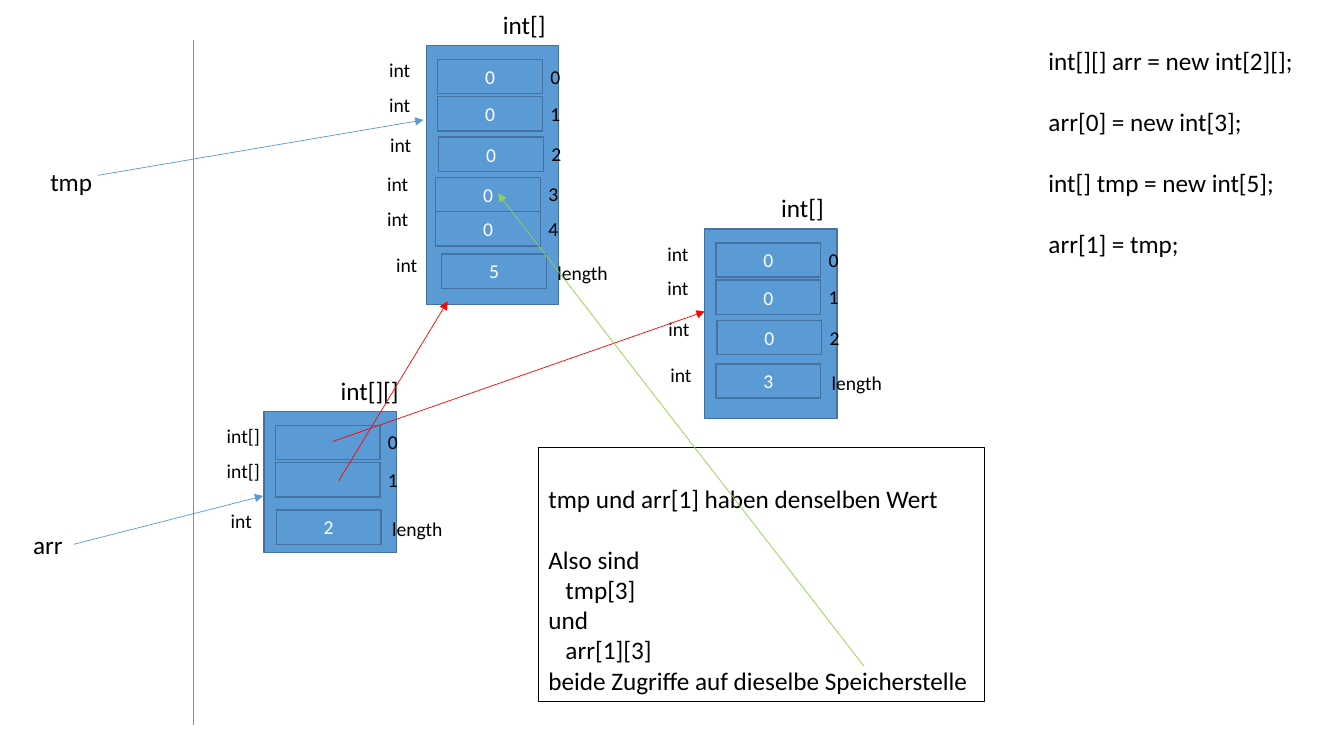
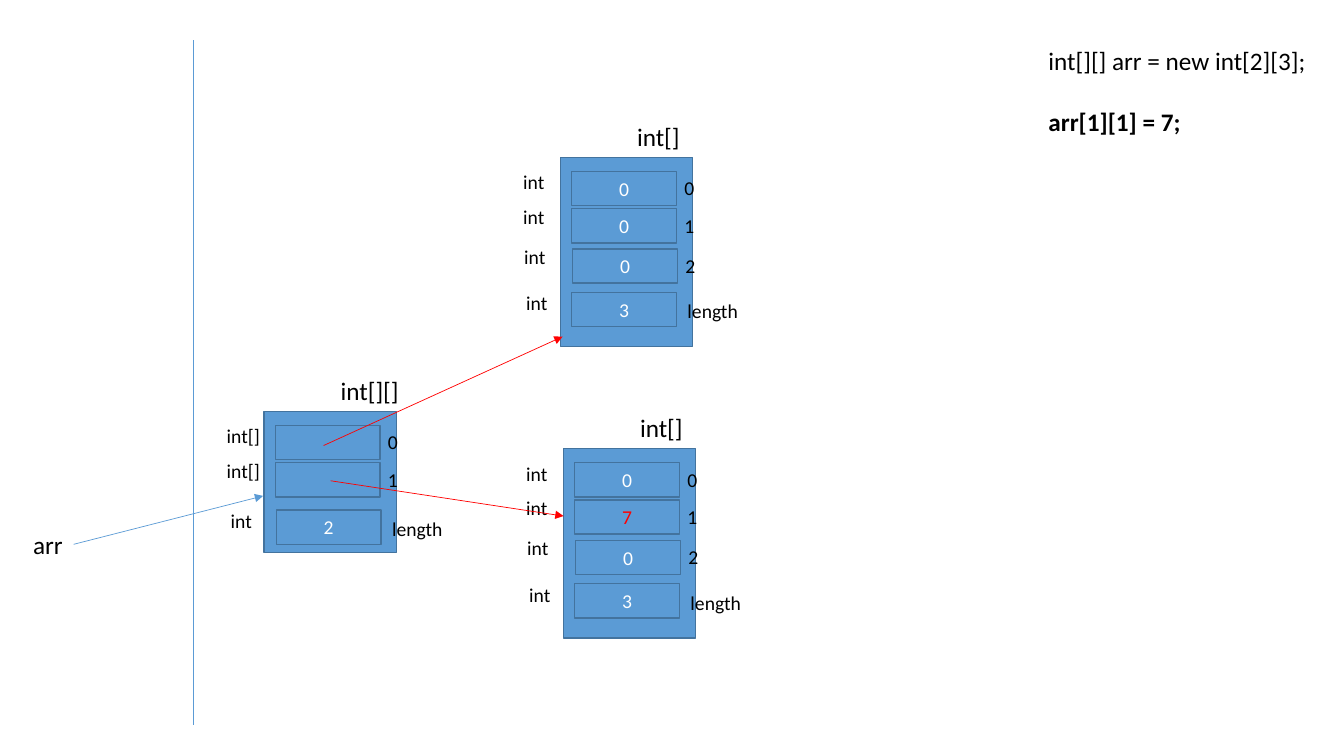
from pptx import Presentation
from pptx.dml.color import RGBColor as RGB
from pptx.enum.shapes import MSO_CONNECTOR as LINK, MSO_SHAPE as FORM
from pptx.enum.text import MSO_ANCHOR as ANCHOR, MSO_AUTO_SIZE as AUTO, PP_ALIGN as ALIGN
from pptx.oxml.ns import qn
from pptx.util import Inches, Pt
from lxml.etree import SubElement as sub

BLUE = RGB(0x5B, 0x9B, 0xD5)
EDGE = RGB(0x43, 0x73, 0x9E)
RED = RGB(0xFF, 0x00, 0x00)
GREEN = RGB(0x92, 0xD0, 0x50)
BLACK = RGB(0x00, 0x00, 0x00)
WHITE = RGB(0xFF, 0xFF, 0xFF)

BIG = {"name": "Calibri", "size": Pt(18)}
SMALL = {"name": "Calibri", "size": Pt(14)}
LABEL = {"word_wrap": False, "auto_size": AUTO.SHAPE_TO_FIT_TEXT}
GAP = Pt(22)
INDENT = Inches(0.17)

WIDE = 1.31
CELL = (1.04, 0.34)
SLOTS = [(0.11, 0.14, 0.08), (0.11, 0.51, 0.42), (0.12, 0.91, 0.82),
         (0.09, 1.31, 1.21), (0.09, 1.65, 1.55)]
SIZES = {2: (1.4, 0.12, 0.98), 3: (1.88, 0.11, 1.34), 5: (2.57, 0.15, 2.07)}
WIDTHS = {"int": 0.42, "int[]": 0.53, "length": 0.71}


def put(item, values):
    for name, value in values.items():
        setattr(item, name, value)


def write(para, text, style, color=BLACK):
    run = para.add_run()
    run.text = text
    put(run.font, style)
    run.font.color.rgb = color


def label(slide, x, y, w, h, text, style):
    box = slide.shapes.add_textbox(*map(Inches, (x, y, w, h)))
    put(box.text_frame, LABEL)
    write(box.text_frame.paragraphs[0], text, style)


def block(slide, x, y, w, h, text="", color=WHITE):
    rect = slide.shapes.add_shape(FORM.RECTANGLE, *map(Inches, (x, y, w, h)))
    rect.shadow.inherit = False
    rect.fill.solid()
    rect.fill.fore_color.rgb = BLUE
    rect.line.color.rgb = EDGE
    rect.line.width = Pt(1)
    if text:
        frame = rect.text_frame
        frame.vertical_anchor = ANCHOR.MIDDLE
        frame.paragraphs[0].alignment = ALIGN.CENTER
        write(frame.paragraphs[0], text, SMALL, color)


def line(slide, start, end, color=BLUE, arrow=True):
    link = slide.shapes.add_connector(LINK.STRAIGHT, *map(Inches, start + end))
    link.line.color.rgb = color
    link.line.width = Pt(0.5)
    props = link.line._get_or_add_ln()
    if arrow:
        sub(props, qn("a:tailEnd"), type="triangle")
    sub(props.getparent(), qn("a:effectLst"))


def array(slide, x, y, values, kind="int", hot=None):
    count = len(values)
    high, left, down = SIZES[count]
    block(slide, x, y, WIDE, high)
    label(slide, x + 0.66, y - 0.41, 0.63 if kind == "int" else 0.78, 0.4,
          kind + "[]", BIG)
    for i, (value, (dx, dy, ty)) in enumerate(zip(values, SLOTS)):
        block(slide, x + dx, y + dy, *CELL, value, RED if i == hot else WHITE)
        label(slide, x + dx - 0.58, y + ty, WIDTHS[kind], 0.34, kind, SMALL)
        label(slide, x + dx + 1.02, y + dy, 0.3, 0.34, str(i), SMALL)
    block(slide, x + left, y + down, *CELL, str(count))
    label(slide, x + left - 0.55, y + down - 0.06, WIDTHS["int"], 0.34, "int", SMALL)
    label(slide, x + left + 1.05, y + down + 0.02, WIDTHS["length"], 0.34,
          "length", SMALL)


def code(slide, x, y, w, h, rows, bold=None):
    box = slide.shapes.add_textbox(*map(Inches, (x, y, w, h)))
    frame = box.text_frame
    put(frame, LABEL)
    for i, text in enumerate(rows):
        para = frame.add_paragraph() if i else frame.paragraphs[0]
        if i:
            para.space_before = GAP
        write(para, text, {**BIG, "bold": i == bold})


def note(slide, x, y, w, h, rows):
    box = slide.shapes.add_textbox(*map(Inches, (x, y, w, h)))
    box.line.color.rgb = BLACK
    box.line.width = Pt(0.75)
    frame = box.text_frame
    put(frame, {**LABEL, "margin_top": Inches(0.35)})
    for i, (text, gap, deep) in enumerate(rows):
        para = frame.add_paragraph() if i else frame.paragraphs[0]
        if gap:
            para.space_before = GAP
        if deep:
            para._p.get_or_add_pPr().set("marL", str(INDENT))
        write(para, text, BIG)


def base(deck):
    slide = deck.slides.add_slide(deck.slide_layouts[6])
    line(slide, (1.92, 0.4), (1.92, 7.19), arrow=False)
    label(slide, 0.23, 5.2, 0.5, 0.4, "arr", BIG)
    array(slide, 2.62, 4.08, ["", ""], "int[]")
    line(slide, (0.73, 5.4), (2.61, 4.92))
    return slide


def shared(deck):
    slide = base(deck)
    code(slide, 10.3, 0.4, 2.65, 2.83,
         ["int[][] arr = new int[2][];", "arr[0] = new int[3];",
          "int[] tmp = new int[5];", "arr[1] = tmp;"])
    array(slide, 6.99, 2.27, ["0"] * 3)
    line(slide, (3.3, 4.38), (6.99, 3.09), RED)
    array(slide, 4.23, 0.45, ["0"] * 5)
    label(slide, 0.4, 1.6, 0.62, 0.4, "tmp", BIG)
    line(slide, (0.97, 1.74), (4.2, 1.19))
    line(slide, (3.36, 4.77), (4.44, 2.99), RED)
    note(slide, 5.34, 4.44, 4.42, 2.52,
         [("tmp und arr[1] haben denselben Wert", False, False),
          ("Also sind", True, False), ("tmp[3]", False, True),
          ("und", False, False), ("arr[1][3]", False, True),
          ("beide Zugriffe auf dieselbe Speicherstelle", False, False)])
    line(slide, (8.57, 6.61), (4.94, 1.92), GREEN)


def nested(deck):
    slide = base(deck)
    code(slide, 10.3, 0.4, 2.86, 1.31,
         ["int[][] arr = new int[2][3];", "arr[1][1] = 7;"], bold=1)
    array(slide, 5.56, 1.56, ["0"] * 3)
    array(slide, 5.59, 4.45, ["0", "7", "0"], hot=1)
    line(slide, (3.21, 4.42), (5.58, 3.34), RED)
    line(slide, (3.28, 4.77), (5.59, 5.12), RED)


def main():
    deck = Presentation()
    put(deck, {"slide_width": Inches(13.33), "slide_height": Inches(7.5)})
    shared(deck)
    nested(deck)
    deck.save("out.pptx")


if __name__ == "__main__":
    main()
